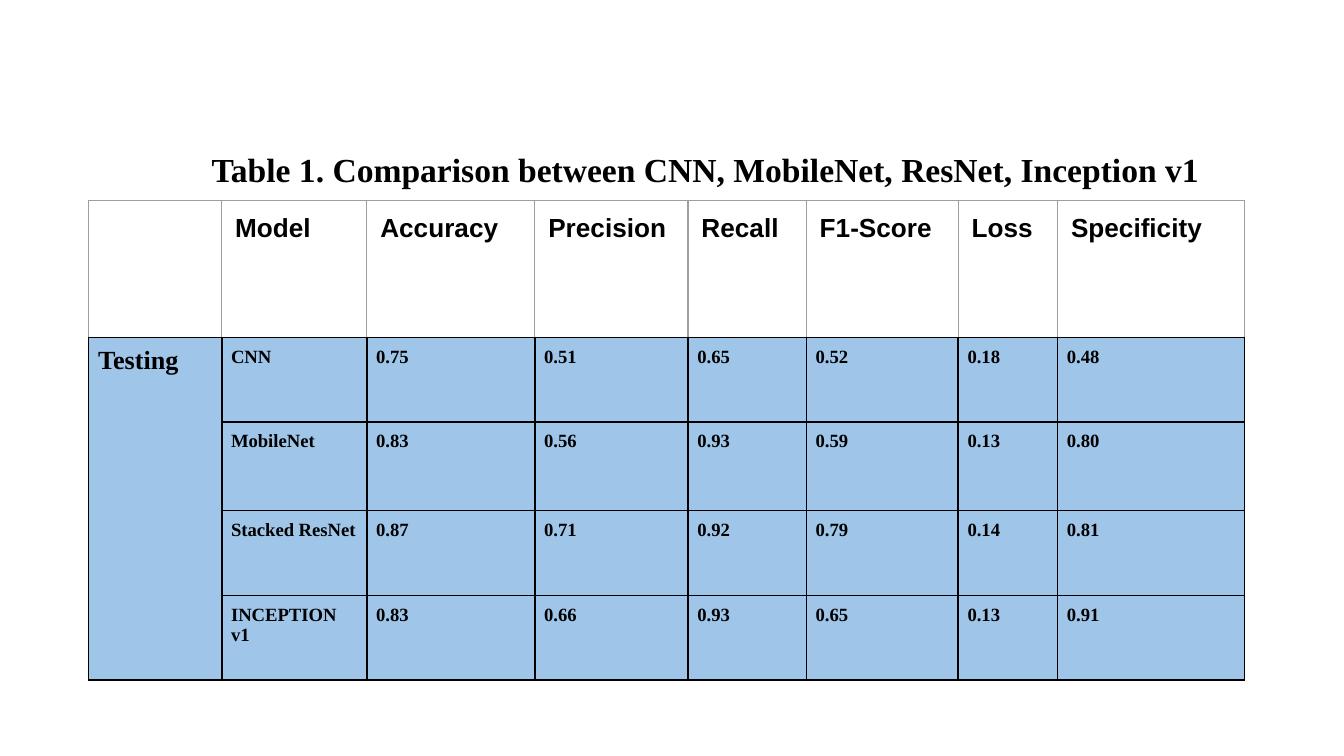
from lxml import etree
from pptx import Presentation
from pptx import util as u
from pptx.dml import color
from pptx.enum import text
from pptx.oxml import ns

HUES = {"ink": "000000", "rule": "9E9E9E", "body": "9FC5E8"}
SERIF, SANS = "Times New Roman", "Arial"
WIDTHS = [0.99, 1.08, 1.25, 1.14, 0.88, 1.13, 0.74, 1.39]
HEIGHTS = [1.02, 0.63, 0.66, 0.63, 0.63]
ROWS = [
    ["", "Model", "Accuracy", "Precision", "Recall", "F1-Score", "Loss", "Specificity"],
    ["Testing", "CNN", "0.75", "0.51", "0.65", "0.52", "0.18", "0.48"],
    ["", "MobileNet", "0.83", "0.56", "0.93", "0.59", "0.13", "0.80"],
    ["", "Stacked ResNet", "0.87", "0.71", "0.92", "0.79", "0.14", "0.81"],
    ["", "INCEPTION\nv1", "0.83", "0.66", "0.93", "0.65", "0.13", "0.91"],
]


class Deck:
    def __init__(self, wide):
        self.show = Presentation()
        self.show.slide_width = u.Inches(wide)
        self.show.slide_height = u.Inches(wide * 9 / 16)
        self.slide = self.show.slides.add_slide(self.show.slide_layouts[6])

    def style(self, para, size, face):
        para.font.size = u.Pt(size)
        para.font.name = face
        para.font.bold = True
        para.font.color.rgb = color.RGBColor.from_string(HUES["ink"])

    def title(self, words, left, top, wide, high):
        frame = self.slide.shapes.add_textbox(
            u.Inches(left), u.Inches(top), u.Inches(wide), u.Inches(high)).text_frame
        frame.word_wrap = True
        frame.margin_left = frame.margin_right = u.Inches(0.1)
        frame.margin_top = frame.margin_bottom = u.Inches(0.1)
        para = frame.paragraphs[0]
        para.text = words
        para.alignment = text.PP_ALIGN.CENTER
        para.line_spacing = 1.15
        para._p.get_or_add_pPr().set("indent", str(u.Inches(0.5)))
        self.style(para, 18, SERIF)

    def edge(self, cell, side, hue, size):
        props = cell._tc.get_or_add_tcPr()
        line = etree.SubElement(props, ns.qn(f"a:ln{side}"), w=str(u.Pt(size)))
        fill = etree.SubElement(line, ns.qn("a:solidFill"))
        etree.SubElement(fill, ns.qn("a:srgbClr"), val=HUES[hue])

    def cell(self, cell, words, size, face, head):
        pad = u.Inches(0.1 if head else 0.07)
        cell.margin_left = cell.margin_right = pad
        cell.margin_top = cell.margin_bottom = pad
        cell.text = words
        for para in cell.text_frame.paragraphs:
            self.style(para, size, face)
        for side in "LRTB":
            if head and side != "B":
                self.edge(cell, side, "rule", 0.75)
            else:
                self.edge(cell, side, "ink", 1)
        if head:
            cell.fill.background()
        else:
            cell.fill.solid()
            cell.fill.fore_color.rgb = color.RGBColor.from_string(HUES["body"])

    def table(self, rows, left, top):
        grid = self.slide.shapes.add_table(
            len(rows), len(WIDTHS), u.Inches(left), u.Inches(top),
            u.Inches(sum(WIDTHS)), u.Inches(sum(HEIGHTS))).table
        grid.first_row = grid.horz_banding = False
        for col, wide in zip(grid.columns, WIDTHS):
            col.width = u.Inches(wide)
        for row, high in zip(grid.rows, HEIGHTS):
            row.height = u.Inches(high)
        for i, row in enumerate(rows):
            for j, words in enumerate(row):
                head = i == 0
                size = 14 if head or j == 0 else 10
                self.cell(grid.cell(i, j), words, size, SANS if head else SERIF, head)
        grid.cell(1, 0).merge(grid.cell(len(rows) - 1, 0))


def main():
    deck = Deck(10)
    deck.table(ROWS, 0.66, 1.49)
    deck.title("Table 1. Comparison between CNN, MobileNet, ResNet, Inception v1",
               0.94, 0.96, 8.12, 0.5)
    deck.show.save("out.pptx")


if __name__ == "__main__":
    main()
